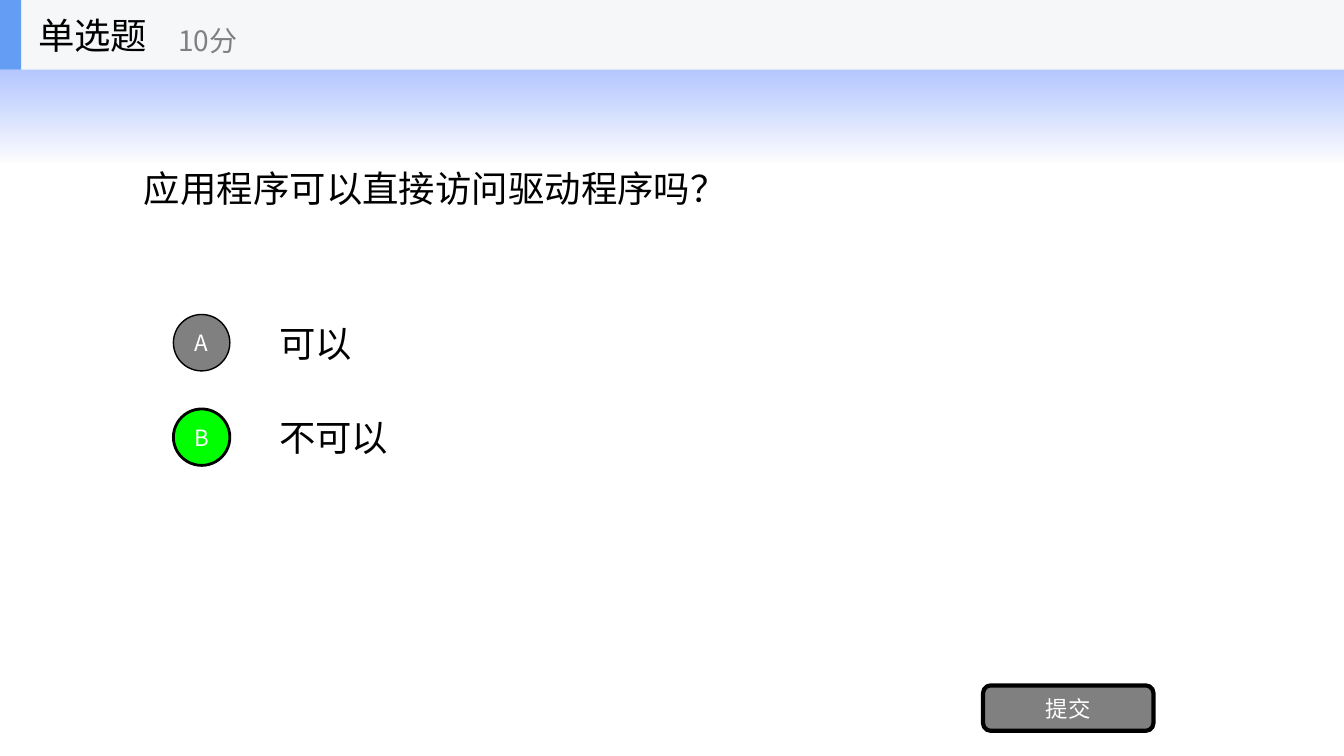
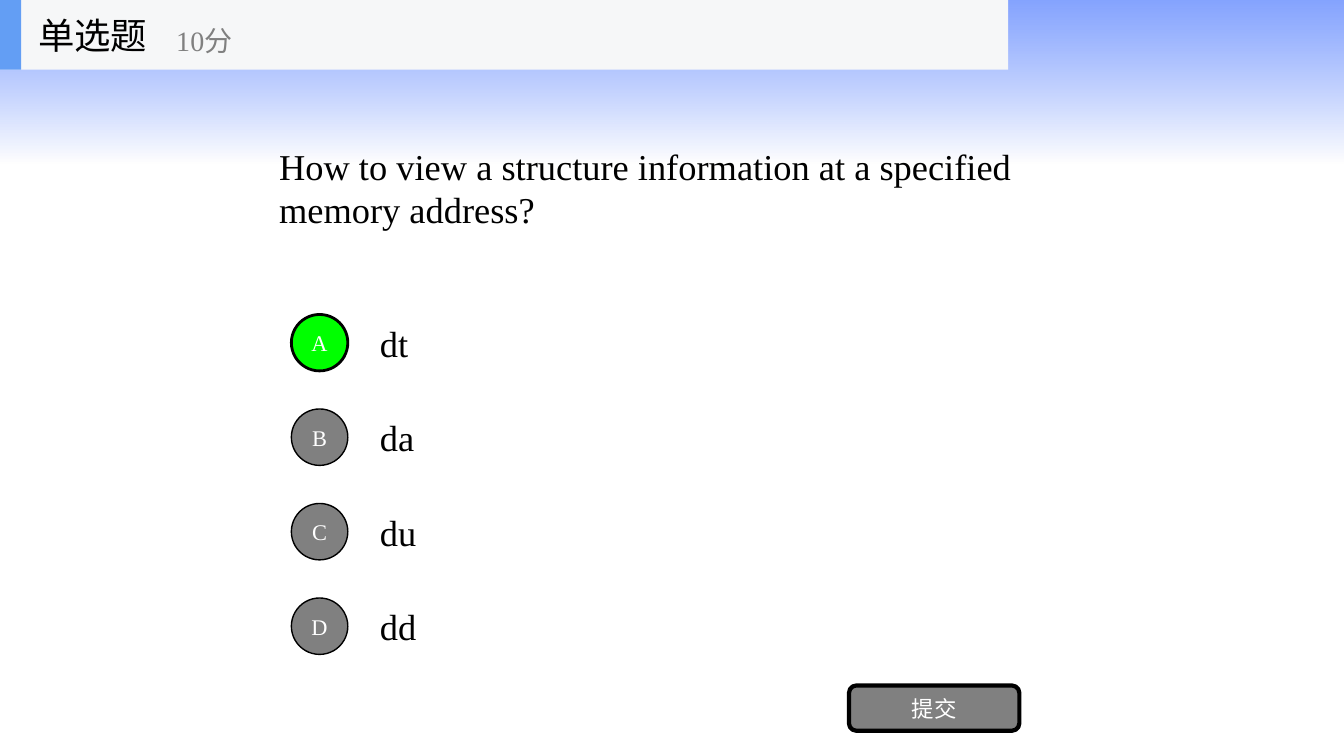
from lxml.etree import SubElement
from pptx import Presentation
from pptx.dml.color import RGBColor
from pptx.enum.shapes import MSO_SHAPE
from pptx.enum.text import MSO_ANCHOR, PP_ALIGN
from pptx.oxml.ns import qn
from pptx.util import Inches, Pt

WIDTH, HEIGHT = 13.33, 7.5
CHINESE_FONT = "Noto Sans CJK SC"
COLORS = {
    "sky": "3366FF", "white": "FFFFFF", "black": "000000", "grey": "808080",
    "correct": "00FF00", "header": "F6F7F8", "accent": "639EF4",
}

# Content: horizontal places are in inches
QUESTIONS = [
    {"text": "应用程序可以直接访问驱动程序吗？", "options": ["可以", "不可以"], "answer": 1,
     "font": CHINESE_FONT, "left": 1.33, "right": 12, "badge": 1.72, "label": 2.67,
     "button": 9.75, "header": WIDTH, "score": 1.67},
    {"text": "How to view a structure information at a specified memory address?",
     "options": ["dt", "da", "du", "dd"], "answer": 0,
     "font": "Times New Roman", "left": 2.67, "right": 10.67, "badge": 2.89, "label": 3.67,
     "button": 8.42, "header": 10, "score": 1.65},
]
TYPE, SCORE, SUBMIT = "单选题", "10分", "提交"

# Shared vertical layout
BAND = 1.62
HEADER = 0.69
QUESTION_HEIGHT = 2.34
FIRST_ROW, ROW_PITCH = 3.4, HEIGHT / 8
BADGE, LABEL_HEIGHT = 0.56, 0.7


def rgb(name):
    return RGBColor.from_string(COLORS[name])


def write(shape, text, size, font, color, align=PP_ALIGN.LEFT):
    frame = shape.text_frame
    frame.word_wrap = True
    frame.vertical_anchor = MSO_ANCHOR.MIDDLE
    paragraph = frame.paragraphs[0]
    paragraph.text = text
    paragraph.alignment = align
    paragraph.font.size = Pt(size)
    paragraph.font.name = font
    paragraph.font.color.rgb = rgb(color)
    # Chinese characters keep their own typeface
    properties = paragraph._p.pPr.find(qn("a:defRPr"))
    SubElement(properties, qn("a:ea")).set("typeface", CHINESE_FONT)


def add_text(slide, box, text, size, font, color="black"):
    write(slide.shapes.add_textbox(*map(Inches, box)), text, size, font, color)


def add_block(slide, kind, box, fill, line=0):
    shape = slide.shapes.add_shape(kind, *map(Inches, box))
    shape.shadow.inherit = False
    if fill:
        shape.fill.solid()
        shape.fill.fore_color.rgb = rgb(fill)
    if line:
        shape.line.color.rgb = rgb("black")
        shape.line.width = Pt(line)
    else:
        shape.line.fill.background()
    return shape


def add_button(slide, kind, box, fill, line, text, font):
    shape = add_block(slide, kind, box, fill, line)
    frame = shape.text_frame
    frame.margin_left = frame.margin_right = frame.margin_top = frame.margin_bottom = 0
    write(shape, text, 16, font, "white", PP_ALIGN.CENTER)


def add_sky(slide):
    band = add_block(slide, MSO_SHAPE.RECTANGLE, (0, 0, WIDTH, BAND), None)
    band.fill.gradient()
    band.fill.gradient_angle = 270
    for stop, position, color, opacity in zip(
            band.fill.gradient_stops, (0, 1), ("sky", "white"), (60, 70)):
        stop.position = position
        stop.color.rgb = rgb(color)
        color_element = stop._gs.find(qn("a:srgbClr"))
        SubElement(color_element, qn("a:alpha")).set("val", str(opacity * 1000))


def add_header(slide, question):
    for width, color in ((question["header"], "header"), (0.21, "accent")):
        add_block(slide, MSO_SHAPE.RECTANGLE, (0, 0, width, HEADER), color)
    add_text(slide, (0.28, 0, 2.08, HEADER), TYPE, 26, question["font"])
    add_text(slide, (question["score"], 0.12, 2.5, 0.56), SCORE, 20, question["font"], "grey")


def add_options(slide, question):
    font, label = question["font"], question["label"]
    for row, option in enumerate(question["options"]):
        middle = FIRST_ROW + row * ROW_PITCH
        add_text(slide, (label, middle - LABEL_HEIGHT / 2, question["right"] - label,
                         LABEL_HEIGHT), option, 26, font)
        fill, line = ("correct", 2) if row == question["answer"] else ("grey", 1)
        add_button(slide, MSO_SHAPE.OVAL, (question["badge"], middle - BADGE / 2, BADGE, BADGE),
                   fill, line, "ABCD"[row], font)


def build_slide(presentation, question):
    slide = presentation.slides.add_slide(presentation.slide_layouts[6])
    left = question["left"]
    add_sky(slide)
    add_text(slide, (left, HEADER, question["right"] - left, QUESTION_HEIGHT),
             question["text"], 26, question["font"])
    add_options(slide, question)
    add_button(slide, MSO_SHAPE.ROUNDED_RECTANGLE, (question["button"], 6.8, 1.69, 0.45),
               "grey", 3, SUBMIT, question["font"])
    add_header(slide, question)


def main():
    presentation = Presentation()
    presentation.slide_width, presentation.slide_height = Inches(WIDTH), Inches(HEIGHT)
    for question in QUESTIONS:
        build_slide(presentation, question)
    presentation.save("out.pptx")


if __name__ == "__main__":
    main()
